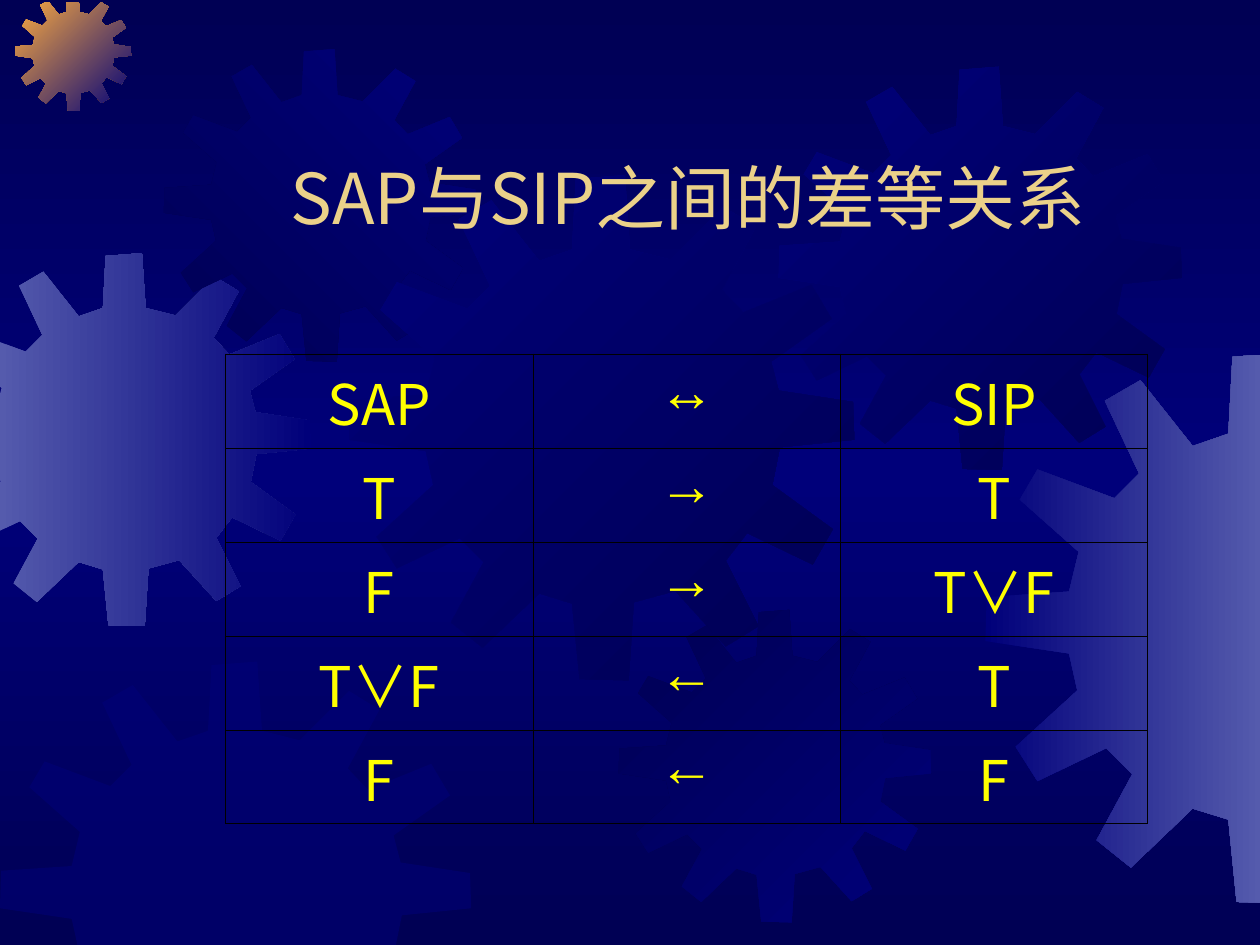
from copy import deepcopy
from dataclasses import dataclass
from typing import Optional

from lxml.etree import SubElement
from pptx import Presentation
from pptx.dml.color import RGBColor
from pptx.enum.text import MSO_ANCHOR, PP_ALIGN
from pptx.oxml import parse_xml
from pptx.oxml.ns import nsdecls, qn
from pptx.util import Inches, Pt


@dataclass(frozen=True)
class Theme:
    night: str = "000054"
    navy: str = "00007A"
    steel: str = "555BAD"
    orange: str = "FCAB40"
    title: str = "EBD189"
    cell: str = "FFFF00"
    border: str = "000000"
    font: str = "Noto Sans CJK SC"
    arrow_font: str = "Arial"
    title_size: int = 40
    cell_size: int = 32
    border_width: float = 0.45


@dataclass(frozen=True)
class Gear:
    left: float
    top: float
    size: float
    start: str
    end: Optional[str] = None  # no end colour: flat, half transparent
    angle: int = 0  # clockwise


T = Theme()

# Twelve-toothed outline, drawn on a square of GEAR_UNIT
GEAR_UNIT = 4.01
GEAR_OUTLINE = [
    (2.55, 0.67), (2.23, 0.59), (2.19, 0), (1.8, 0.03), (1.77, 0.59), (1.51, 0.68),
    (1.13, 0.2), (0.87, 0.35), (1.12, 0.88), (0.94, 1.06), (0.38, 0.85), (0.25, 1.07),
    (0.68, 1.45), (0.61, 1.74), (0.01, 1.78), (0, 2.1), (0.61, 2.19), (0.67, 2.46),
    (0.22, 2.87), (0.38, 3.12), (0.88, 2.88), (1.07, 3.07), (0.81, 3.55), (1.06, 3.75),
    (1.51, 3.32), (1.77, 3.4), (1.83, 4), (2.22, 4.01), (2.26, 3.39), (2.59, 3.3),
    (2.99, 3.74), (3.25, 3.58), (2.99, 3.06), (3.16, 2.84), (3.68, 3.09), (3.84, 2.81),
    (3.36, 2.46), (3.42, 2.16), (4.01, 2.1), (4, 1.8), (3.41, 1.71), (3.35, 1.48),
    (3.83, 1.14), (3.67, 0.87), (3.13, 1.09), (2.96, 0.91), (3.23, 0.41), (2.97, 0.25),
]
# Gears end at these edges: (axis, limit, side that is kept)
EDGES = [(0, -0.01, 1), (0, 10.01, -1), (1, 0.02, 1), (1, 7.54, -1)]

GEARS = [
    Gear(-0.49, 2.01, 2.96, T.steel, T.navy),
    Gear(0.12, -0.04, 0.92, T.orange, T.navy, 45),
    Gear(1.3, 0.39, 2.48, T.night, T.navy, 315),
    Gear(2.77, 1.39, 4.01, T.navy, T.night, 45),
    Gear(0, 5.25, 3.74, T.navy),
    Gear(4.91, 4.84, 2.48, T.night, T.navy, 45),
    Gear(6.18, 0.53, 3.2, T.navy, T.night, 45),
    Gear(7.82, 2.8, 4.37, T.navy, T.steel),
]

ROWS = [
    ("SAP", "↔", "SIP"),
    ("T", "→", "T"),
    ("F", "→", "T∨F"),
    ("T∨F", "←", "T"),
    ("F", "←", "F"),
]
TABLE_HEIGHT = 3.73
COLUMN_WIDTH = 2.44


def set_gradient(fill, start: str, end: str, angle: int) -> None:
    fill.gradient()
    fill.gradient_angle = -angle % 360
    for stop, color in zip(fill.gradient_stops, (start, end)):
        stop.color.rgb = RGBColor.from_string(color)
    fill.gradient_stops[0].position = 0
    fill.gradient_stops[1].position = 1


def clip(points: list, axis: int, limit: float, side: int) -> list:
    """Cut a polygon along one straight edge."""
    kept = []
    for a, b in zip(points[-1:] + points[:-1], points):
        a_in, b_in = ((p[axis] - limit) * side >= 0 for p in (a, b))
        if a_in != b_in:
            t = (limit - a[axis]) / (b[axis] - a[axis])
            kept.append(tuple(m + t * (n - m) for m, n in zip(a, b)))
        if b_in:
            kept.append(b)
    return kept


def draw_gear(s, gear: Gear) -> None:
    k = gear.size / GEAR_UNIT
    points = [(gear.left + x * k, gear.top + y * k) for x, y in GEAR_OUTLINE]
    for edge in EDGES:
        points = clip(points, *edge)
    first, *rest = [(Inches(x), Inches(y)) for x, y in points]
    builder = s.shapes.build_freeform(*first, scale=1.0)
    builder.add_line_segments(rest, close=True)
    sp = builder.convert_to_shape()
    sp.shadow.inherit = False
    sp.line.fill.background()
    if gear.end:
        set_gradient(sp.fill, gear.start, gear.end, gear.angle)
    else:
        sp.fill.solid()
        sp.fill.fore_color.rgb = RGBColor.from_string(gear.start)
        color = next(sp.element.spPr.iter(qn("a:srgbClr")))
        SubElement(color, qn("a:alpha"), val="50000")


def write(tf, text: str, *, size: int, color: str, font: str = T.font) -> None:
    p = tf.paragraphs[0]
    p.alignment = PP_ALIGN.CENTER
    r = p.add_run()
    r.text = text
    r.font.size = Pt(size)
    r.font.name = font
    r.font.color.rgb = RGBColor.from_string(color)
    SubElement(r.font._element, qn("a:ea"), typeface=font)


def set_borders(cell, color: str, width: float) -> None:
    tc_pr = cell._tc.get_or_add_tcPr()
    for i, side in enumerate("LRTB"):
        tc_pr.insert(i, parse_xml(
            f'<a:ln{side} {nsdecls("a")} w="{int(Pt(width))}"><a:solidFill>'
            f'<a:srgbClr val="{color}"/></a:solidFill></a:ln{side}>'))


def draw_table(s) -> None:
    n_cols = len(ROWS[0])
    table = s.shapes.add_table(
        len(ROWS), n_cols, Inches(1.79), Inches(2.81),
        Inches(COLUMN_WIDTH * n_cols), Inches(TABLE_HEIGHT)).table
    table.first_row = table.horz_banding = False
    for row, texts in zip(table.rows, ROWS):
        for cell, text in zip(row.cells, texts):
            cell.margin_left = cell.margin_right = Inches(0.07)
            cell.margin_top = cell.margin_bottom = Inches(0.05)
            cell.fill.background()
            set_borders(cell, T.border, T.border_width)
            write(cell.text_frame, text, size=T.cell_size, color=T.cell,
                  font=T.arrow_font if text in "↔→←" else T.font)


def main() -> None:
    prs = Presentation()
    prs.slide_width, prs.slide_height = Inches(10), Inches(7.5)
    s = prs.slides.add_slide(prs.slide_layouts[6])

    # Background: dark, lighter in the middle, dark again
    set_gradient(s.background.fill, T.night, T.navy, 90)
    stops = next(s.element.iter(qn("a:gsLst")))
    stops[1].set("pos", "50000")
    last = deepcopy(stops[0])
    last.set("pos", "100000")
    stops.append(last)

    # Gears
    for gear in GEARS:
        draw_gear(s, gear)

    # Title
    tf = s.shapes.add_textbox(Inches(1.21), Inches(1.16), Inches(8.5), Inches(0.78)).text_frame
    tf.word_wrap = True
    tf.vertical_anchor = MSO_ANCHOR.BOTTOM
    write(tf, "SAP与SIP之间的差等关系", size=T.title_size, color=T.title)

    # Truth table
    draw_table(s)
    prs.save("out.pptx")


if __name__ == "__main__":
    main()
